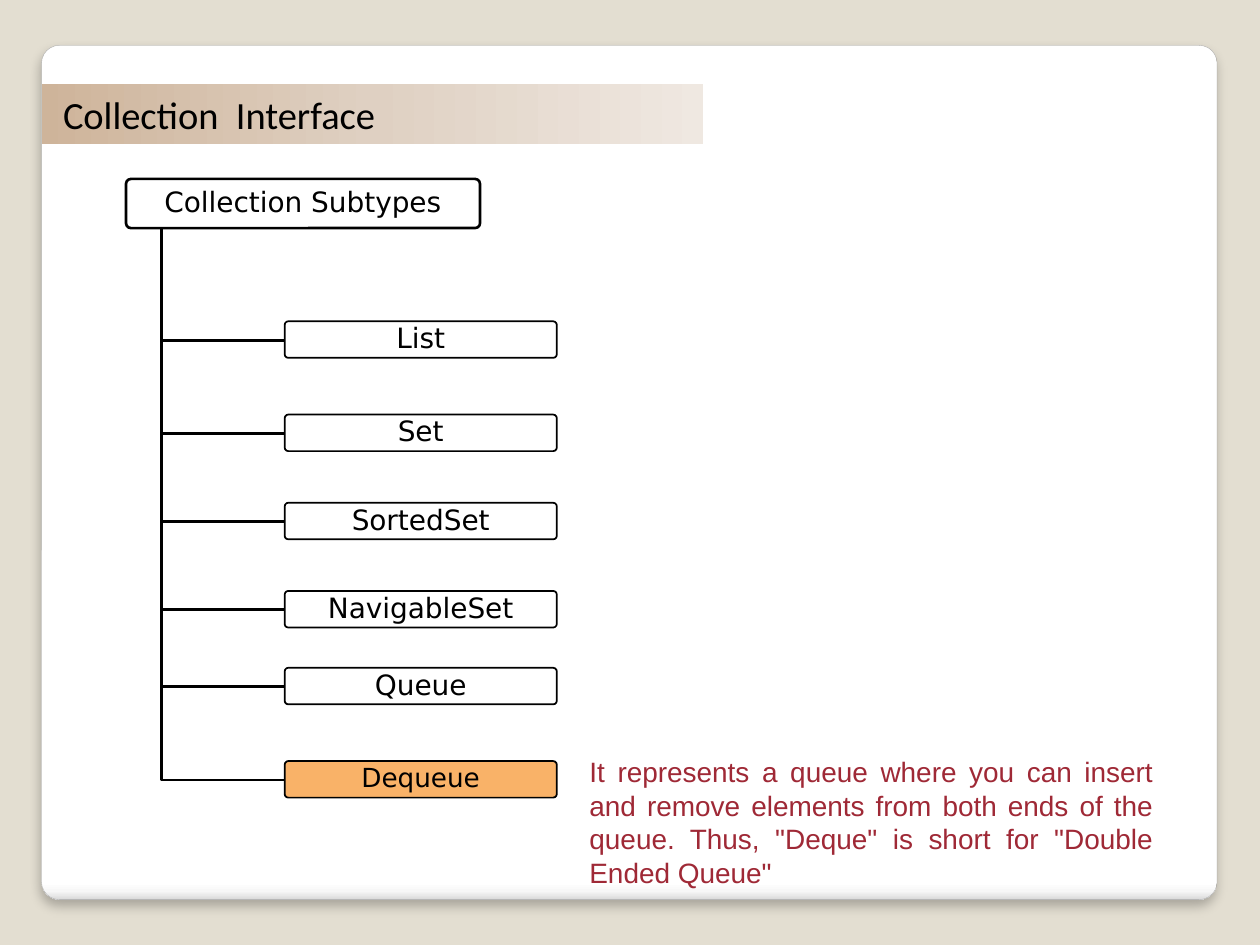
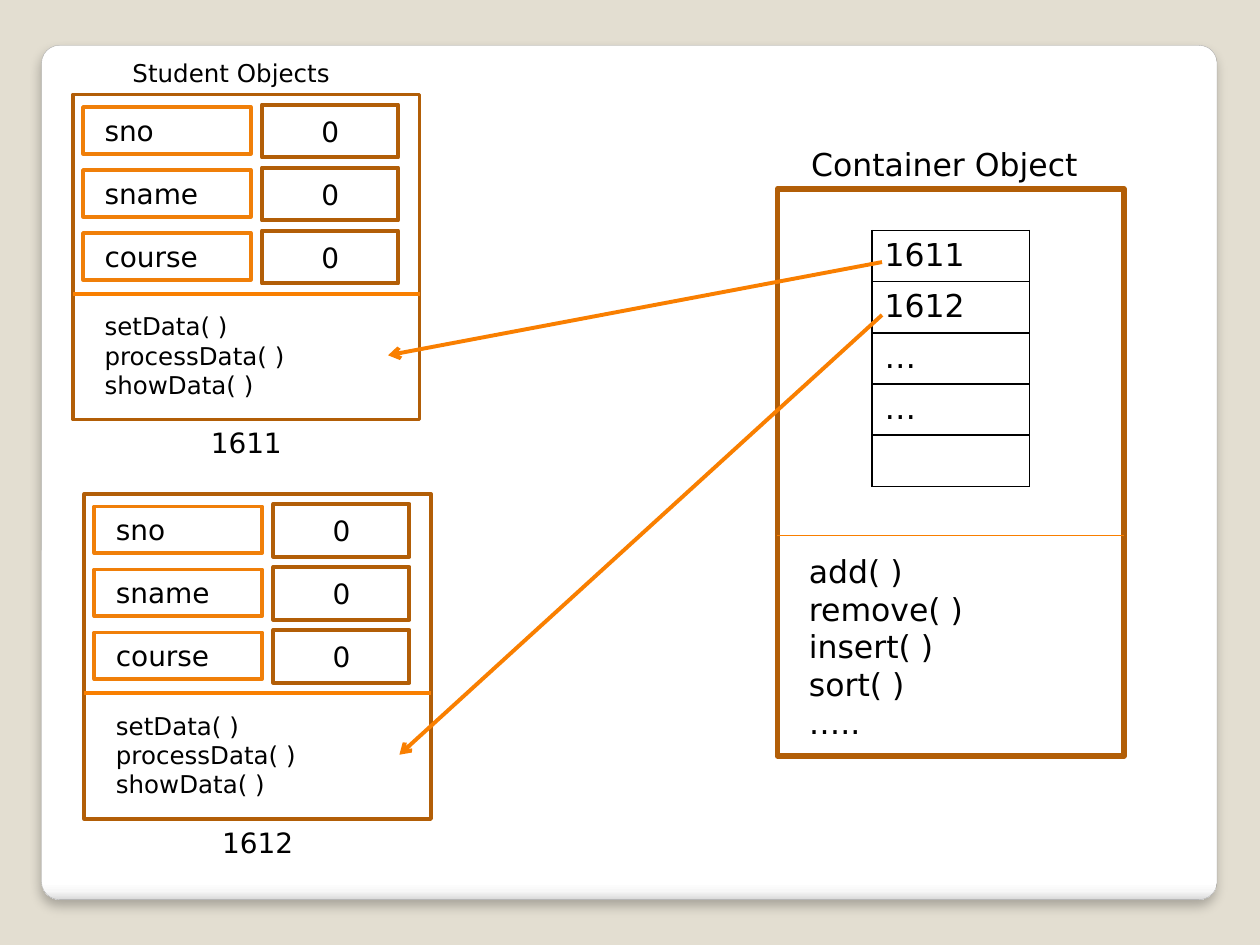
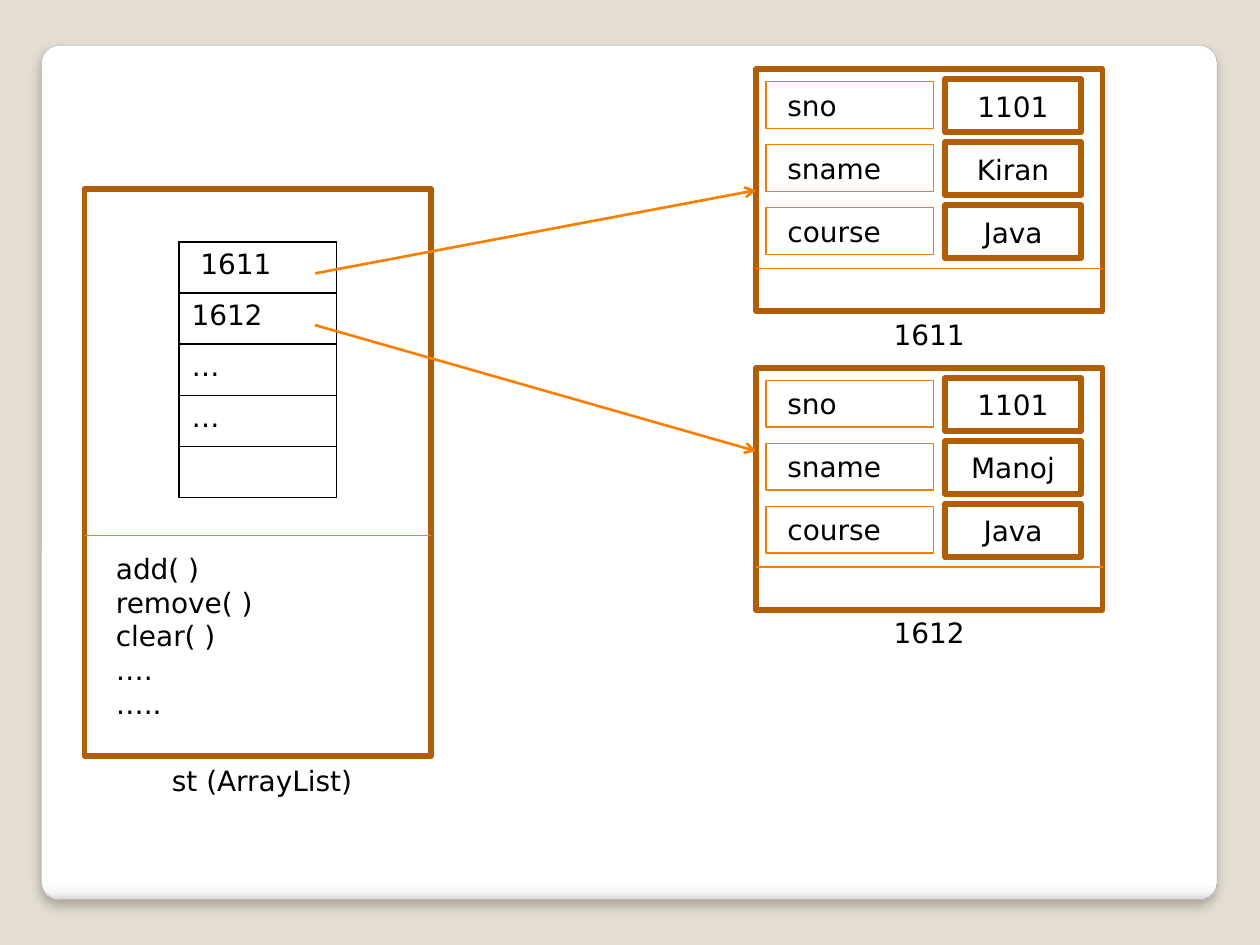
from dataclasses import dataclass
from typing import Optional

from lxml.etree import SubElement
from pptx import Presentation
from pptx.dml.color import RGBColor
from pptx.enum.shapes import MSO_CONNECTOR, MSO_SHAPE
from pptx.enum.text import MSO_ANCHOR, PP_ALIGN
from pptx.oxml.ns import qn
from pptx.util import Inches, Pt

BACKGROUND = RGBColor(0xE3, 0xDE, 0xD1)
WHITE = RGBColor(0xFF, 0xFF, 0xFF)
BLACK = RGBColor(0, 0, 0)
GREY = RGBColor(0xA4, 0xA4, 0xA4)
BROWN = RGBColor(0xB2, 0x5E, 0x07)
ORANGE = RGBColor(0xF0, 0x7F, 0x09)
BRIGHT = RGBColor(0xF9, 0x7F, 0x00)
PEACH = RGBColor(0xF9, 0xB2, 0x68)
RED = RGBColor(0x9F, 0x29, 0x36)
CARD_STOPS = [(0, "FFFFFF"), (98, "FFFFFF"), (99, "F7F7F7"), (100, "DADADA")]
TITLE_STOPS = [(0, "CEB49A"), (50, "DFD0C2"), (100, "EFE8E1")]

MARGIN, INDENT = 0.1, 0.17
OBJECT_WIDTH = 2.75
FIELDS = ["sno", "sname", "course"]
STUDENT_METHODS = ["setData( )", "processData( )", "showData( )"]
SLOTS = ["1611", "1612", "…", "…", ""]
SUBTYPES = [("List", 2.55), ("Set", 3.29), ("SortedSet", 3.99),
            ("NavigableSet", 4.69), ("Queue", 5.3), ("Dequeue", 6.04)]


@dataclass(frozen=True)
class Text:
    """Wording of a shape and how it is set."""
    lines: list[str]
    size: float = 16
    font: str = "DejaVu Sans"
    color: RGBColor = BLACK
    align: PP_ALIGN = PP_ALIGN.LEFT
    anchor: MSO_ANCHOR = MSO_ANCHOR.TOP
    indent: float = MARGIN
    spacing: Optional[float] = None


@dataclass(frozen=True)
class Student:
    """A student object with its field values and caption."""
    x: float
    y: float
    height: float
    values: list[str]
    caption: str
    frame_width: float
    label_width: float
    methods: bool


@dataclass(frozen=True)
class Container:
    """A container object with its slots and methods."""
    x: float
    methods: list[str]
    size: float
    table_y: float
    first_indent: float


def write(tf, text: Text) -> None:
    """Fill a text frame with the given text."""
    frame = {"word_wrap": True, "vertical_anchor": text.anchor,
             "margin_left": Inches(text.indent), "margin_right": Inches(MARGIN)}
    for name, value in frame.items():
        setattr(tf, name, value)
    for i, line in enumerate(text.lines):
        p = tf.paragraphs[0] if i == 0 else tf.add_paragraph()
        p.alignment = text.align
        if text.spacing:
            p.line_spacing = text.spacing
        r = p.add_run()
        r.text = line
        for name, value in {"name": text.font, "size": Pt(text.size)}.items():
            setattr(r.font, name, value)
        r.font.color.rgb = text.color


def style(sp, line: Optional[RGBColor], width: float, fill: Optional[RGBColor] = None) -> None:
    """Set the fill and outline of a shape and drop its shadow."""
    sp.shadow.inherit = False
    if fill is None:
        sp.fill.background()
    else:
        sp.fill.solid()
        sp.fill.fore_color.rgb = fill
    if line is None:
        sp.line.fill.background()
    else:
        sp.line.color.rgb = line
        sp.line.width = Pt(width)


def box(s, x: float, y: float, w: float, h: float, line: Optional[RGBColor] = None,
        width: float = 1, text: Optional[Text] = None, fill: Optional[RGBColor] = None,
        corner: Optional[float] = None):
    """Draw a rectangle, rounded if a corner is given."""
    kind = MSO_SHAPE.RECTANGLE if corner is None else MSO_SHAPE.ROUNDED_RECTANGLE
    sp = s.shapes.add_shape(kind, Inches(x), Inches(y), Inches(w), Inches(h))
    if corner is not None:
        sp.adjustments[0] = corner
    style(sp, line, width, fill)
    if text:
        write(sp.text_frame, text)
    return sp


def label(s, x: float, y: float, w: float, h: float, text: Text) -> None:
    """Add a plain text box."""
    write(s.shapes.add_textbox(Inches(x), Inches(y), Inches(w), Inches(h)).text_frame, text)


def caption(s, x: float, y: float, w: float, wording: str, size: float = 16) -> None:
    """Add a centred one-line caption."""
    label(s, x, y, w, 0.37, Text([wording], size, align=PP_ALIGN.CENTER))


def gradient(sp, stops: list[tuple[int, str]], angle: int) -> None:
    """Give a shape a linear gradient fill."""
    sp.fill.gradient()
    sp.fill.gradient_angle = angle
    stop_list = sp._element.spPr.find(qn("a:gradFill")).find(qn("a:gsLst"))
    for stop in list(stop_list):
        stop_list.remove(stop)
    for position, color in stops:
        stop = SubElement(stop_list, qn("a:gs"), pos=str(position * 1000))
        SubElement(stop, qn("a:srgbClr"), val=color)


def line(s, start: tuple[float, float], end: tuple[float, float], width: float,
         arrow: bool = False):
    """Draw a straight line, with an arrowhead at its end if wanted."""
    points = [Inches(v) for v in (*start, *end)]
    connector = s.shapes.add_connector(MSO_CONNECTOR.STRAIGHT, *points)
    connector.line.color.rgb = BRIGHT
    connector.line.width = Pt(width)
    properties = connector._element.spPr
    if arrow:
        SubElement(properties.find(qn("a:ln")), qn("a:tailEnd"), type="arrow")
    SubElement(properties, qn("a:effectLst"))
    return connector


def add_slide(prs):
    """Add a blank slide with the white card."""
    s = prs.slides.add_slide(prs.slide_layouts[6])
    card = box(s, 0.33, 0.36, 9.33, 6.78, GREY, 0.16, corner=0.021)
    gradient(card, CARD_STOPS, 270)
    effects = card._element.spPr.find(qn("a:effectLst"))
    shadow = SubElement(effects, qn("a:outerShdw"), blurRad=str(Pt(6)), dist=str(Pt(4)),
                        dir="5400000", algn="t", rotWithShape="0")
    color = SubElement(shadow, qn("a:srgbClr"), val="000000")
    SubElement(color, qn("a:alpha"), val="25000")
    return s


def slot_table(s, x: float, y: float, size: float, first_indent: float) -> None:
    """Draw the column of slots held by a container."""
    table = s.shapes.add_table(len(SLOTS), 1, Inches(x), Inches(y),
                               Inches(1.25), Inches(2.03)).table
    table.first_row = table.horz_banding = False
    for i, slot in enumerate(SLOTS):
        cell = table.cell(i, 0)
        properties = cell._tc.get_or_add_tcPr()
        for side in ("lnL", "lnR", "lnT", "lnB"):
            border = SubElement(properties, qn(f"a:{side}"), w=str(Pt(1)))
            SubElement(SubElement(border, qn("a:solidFill")), qn("a:srgbClr"), val=str(BLACK))
        cell.fill.solid()
        cell.fill.fore_color.rgb = WHITE
        if slot:
            write(cell.text_frame, Text([slot], size))
            cell.margin_left = Inches(first_indent if i == 0 else MARGIN)


def draw_student(s, obj: Student):
    """Draw a student object and return its frame."""
    x, y = obj.x, obj.y
    frame = box(s, x, y, OBJECT_WIDTH, obj.height, BROWN, obj.frame_width)
    for i, (field, value) in enumerate(zip(FIELDS, obj.values)):
        top = y + 0.5 * i
        box(s, x + 0.08, top + 0.1, 1.33, 0.37, ORANGE, obj.label_width,
            Text([field], indent=INDENT))
        box(s, x + 1.5, top + 0.08, 1.08, 0.42, BROWN, obj.frame_width,
            Text([value], align=PP_ALIGN.CENTER, anchor=MSO_ANCHOR.MIDDLE))
    line(s, (x, y + 1.58), (x + OBJECT_WIDTH, y + 1.58), obj.label_width)
    if obj.methods:
        box(s, x + 0.08, y + 1.67, 2.42, 0.81, WHITE, 2.25,
            Text(STUDENT_METHODS, 14, indent=INDENT))
    caption(s, x, y + obj.height, OBJECT_WIDTH, obj.caption)
    return frame


def draw_container(s, obj: Container) -> None:
    """Draw a container object."""
    box(s, obj.x, 1.5, OBJECT_WIDTH, 4.5, BROWN, 3.35)
    line(s, (obj.x, 4.25), (obj.x + OBJECT_WIDTH, 4.25), 0.75)
    label(s, obj.x + 0.08, 4.33, 2.42, 1.62, Text(obj.methods, obj.size, indent=INDENT))
    slot_table(s, obj.x + 0.75, obj.table_y, obj.size, obj.first_indent)


def tree_text(wording: str, size: float = 16) -> Text:
    """Return the centred text of a tree box."""
    return Text([wording], size, align=PP_ALIGN.CENTER, anchor=MSO_ANCHOR.MIDDLE, spacing=0.9)


def subtypes_slide(prs) -> None:
    """Build the tree of collection subtypes."""
    s = add_slide(prs)
    bar = box(s, 0.33, 0.67, 5.25, 0.47,
              text=Text(["Collection  Interface"], 22, "Calibri", indent=INDENT))
    gradient(bar, TITLE_STOPS, 0)
    box(s, 1, 1.42, 2.81, 0.39, BLACK, 1.5, tree_text("Collection Subtypes"), corner=0.1)
    for name, top in SUBTYPES:
        middle = Inches(top + 0.15)
        builder = s.shapes.build_freeform(Inches(1.28), Inches(1.81))
        builder.add_line_segments([(Inches(1.28), middle), (Inches(2.26), middle)], close=False)
        style(builder.convert_to_shape(), BLACK, 1.5)
        current = name == "Dequeue"
        box(s, 2.26, top, 2.16, 0.29, BLACK, 1, tree_text(name, 15 if current else 16),
            PEACH if current else None, 0.1)
    label(s, 4.58, 5.94, 4.67, 1.18, Text(
        ['It represents a queue where you can insert and remove elements from both ends '
         'of the queue. Thus, "Deque" is short for "Double Ended Queue"'],
        font="Arial", color=RED, align=PP_ALIGN.JUSTIFY))


def container_slide(prs) -> None:
    """Build the container that refers to two empty students."""
    s = add_slide(prs)
    caption(s, 0.42, 0.41, 2.83, "Student Objects", 14)
    zeros = ["0"] * len(FIELDS)
    draw_student(s, Student(0.58, 0.75, 2.58, zeros, "1611", 2.25, 2.25, True))
    draw_student(s, Student(0.67, 3.92, 2.58, zeros, "1612", 2.25, 2.25, True))
    methods = ["add( )", "remove( )", "insert( )", "sort( )", "….."]
    draw_container(s, Container(6.17, methods, 18, 1.83, MARGIN))
    caption(s, 6.08, 1.1, 2.83, "Container Object", 18)
    line(s, (7, 2.08), (3.08, 2.82), 2.25, arrow=True)
    line(s, (7, 2.5), (3.17, 5.99), 2.25, arrow=True)


def array_list_slide(prs) -> None:
    """Build the ArrayList that refers to two filled students."""
    s = add_slide(prs)
    methods = ["add( )", "remove( )", "clear( )", "….", "….."]
    draw_container(s, Container(0.67, methods, 16, 1.92, INDENT))
    caption(s, 0.58, 6.01, 3, "st (ArrayList)")
    kiran = draw_student(s, Student(6, 0.55, 1.92, ["1101", "Kiran", "Java"],
                                    "1611", 3.35, 0.75, False))
    draw_student(s, Student(6, 2.92, 1.92, ["1101", "Manoj", "Java"],
                            "1612", 3.35, 0.75, False))
    line(s, (2.5, 2.17), (6, 1.51), 1.5, arrow=True).end_connect(kiran, 1)
    line(s, (2.5, 2.58), (6, 3.58), 1.5, arrow=True)


def main() -> None:
    """Build and save the presentation."""
    prs = Presentation()
    prs.slide_width, prs.slide_height = Inches(10), Inches(7.5)
    fill = prs.slide_master.background.fill
    fill.solid()
    fill.fore_color.rgb = BACKGROUND
    for build in (subtypes_slide, container_slide, array_list_slide):
        build(prs)
    prs.save("out.pptx")


if __name__ == "__main__":
    main()
